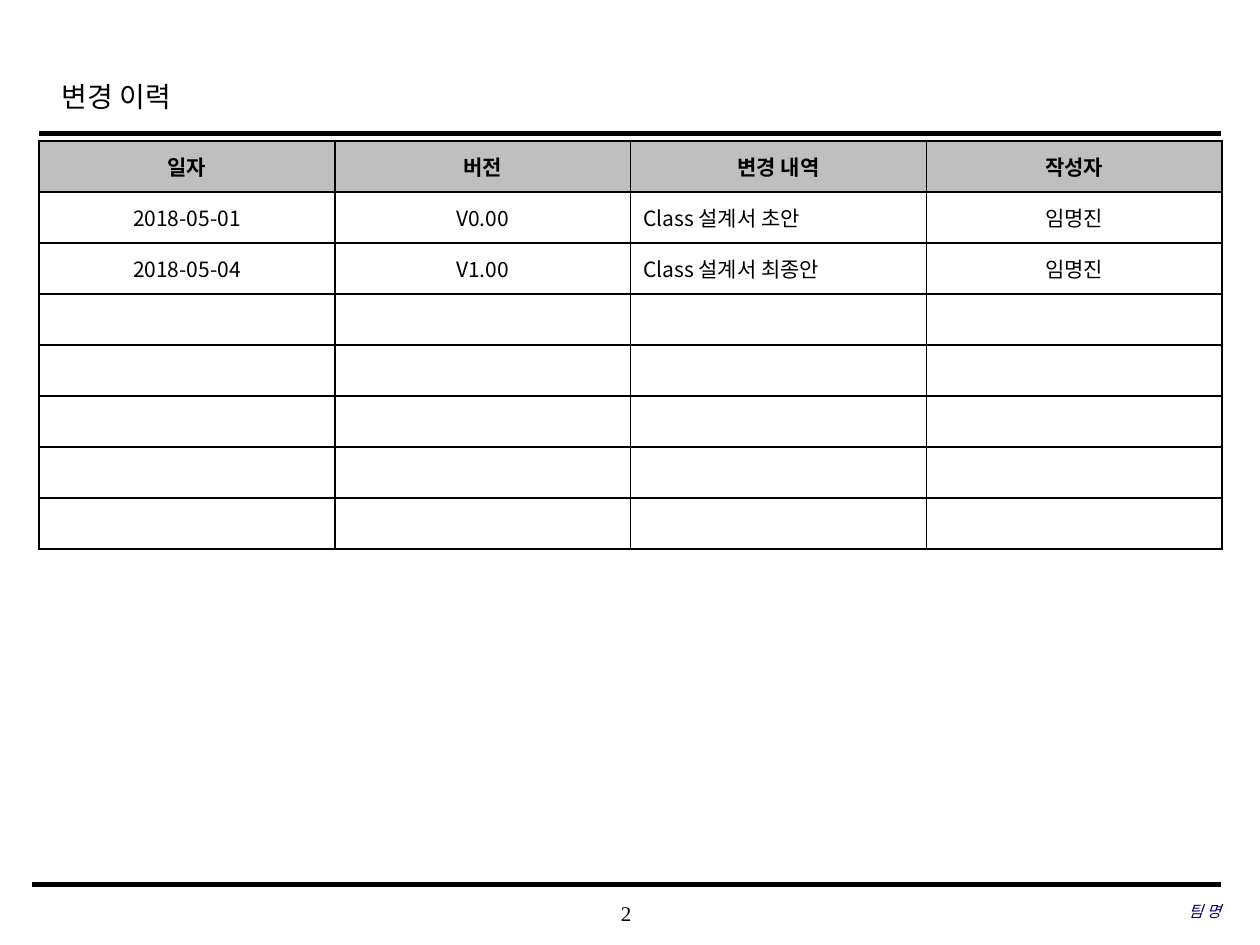
from lxml import etree
from pptx import Presentation
from pptx.dml.color import RGBColor
from pptx.enum.shapes import MSO_CONNECTOR
from pptx.enum.text import MSO_ANCHOR, PP_ALIGN
from pptx.oxml.ns import qn
from pptx.util import Inches, Pt

LEFT, CENTER, RIGHT = PP_ALIGN.LEFT, PP_ALIGN.CENTER, PP_ALIGN.RIGHT
MIDDLE = MSO_ANCHOR.MIDDLE
STRAIGHT = MSO_CONNECTOR.STRAIGHT
COLORS = {"ink": "000000", "header": "BFBFBF", "paper": "FFFFFF", "team": "000066"}
SERIF, HANGUL = "Times New Roman", "Noto Sans CJK KR"
TABLE_LEFT, TABLE_TOP, TABLE_WIDTH = 0.31, 1.12, 9.39
ROW_HEIGHT, ROW_COUNT = 0.405, 8
CELL_SIZE = 12
HISTORY = [
    ("일자", "버전", "변경 내역", "작성자"),
    ("2018-05-01", "V0.00", "Class 설계서 초안", "임명진"),
    ("2018-05-04", "V1.00", "Class 설계서 최종안", "임명진"),
]


def rgb(name):
    return RGBColor.from_string(COLORS[name])


def write(tf, text, align, color="ink", **formats):
    p = tf.paragraphs[0]
    p.alignment = align
    r = p.add_run()
    r.text = text
    for key, value in formats.items():
        setattr(r.font, key, value)
    r.font.color.rgb = rgb(color)
    etree.SubElement(r.font._element, qn("a:ea"), typeface=HANGUL)
    return p


def add_title(slide, text):
    sp = slide.shapes.title
    sp.left, sp.top, sp.width, sp.height = map(Inches, (0.39, 0.49, 7.55, 0.5))
    sp.text_frame.vertical_anchor = MIDDLE
    p = write(sp.text_frame, text, LEFT, size=Pt(16), name=SERIF)
    p.line_spacing = 1.2


def add_label(slide, box, text, align, color="ink", **formats):
    tf = slide.shapes.add_textbox(*map(Inches, box)).text_frame
    margins = dict.fromkeys(
        ("margin_left", "margin_top", "margin_right", "margin_bottom"), 0)
    for key, value in {**margins, "word_wrap": True, "vertical_anchor": MIDDLE}.items():
        setattr(tf, key, value)
    write(tf, text, align, color, name=SERIF, **formats)


def add_rule(slide, left, right, y, weight):
    line = slide.shapes.add_connector(STRAIGHT, *map(Inches, (left, y, right, y)))
    line.line.color.rgb = rgb("ink")
    line.line.width = Pt(weight)
    etree.SubElement(line._element.spPr, qn("a:effectLst"))


def add_borders(cell):
    props = cell._tc.get_or_add_tcPr()
    for i, side in enumerate(("lnL", "lnR", "lnT", "lnB")):
        ln = etree.Element(qn(f"a:{side}"), w=str(Pt(1)))
        fill = etree.SubElement(ln, qn("a:solidFill"))
        etree.SubElement(fill, qn("a:srgbClr"), val=COLORS["ink"])
        props.insert(i, ln)


def add_history(slide):
    columns = len(HISTORY[0])
    box = (TABLE_LEFT, TABLE_TOP, TABLE_WIDTH, ROW_HEIGHT * ROW_COUNT)
    table = slide.shapes.add_table(ROW_COUNT, columns, *map(Inches, box)).table
    for column in table.columns:
        column.width = Inches(TABLE_WIDTH / columns)
    for i, row in enumerate(table.rows):
        row.height = Inches(ROW_HEIGHT)
        header = i == 0
        for j, cell in enumerate(row.cells):
            cell.vertical_anchor = MIDDLE
            cell.fill.solid()
            cell.fill.fore_color.rgb = rgb("header" if header else "paper")
            add_borders(cell)
            if i < len(HISTORY):
                align = LEFT if j == 2 and not header else CENTER
                write(cell.text_frame, HISTORY[i][j], align,
                      size=Pt(CELL_SIZE), name=HANGUL, bold=header)
            else:
                p = cell.text_frame.paragraphs[0]
                etree.SubElement(p._p, qn("a:endParaRPr"), sz=str(CELL_SIZE * 100))


def main():
    prs = Presentation()
    prs.slide_width, prs.slide_height = Inches(10), Inches(7.5)
    slide = prs.slides.add_slide(prs.slide_layouts[5])
    add_label(slide, (3.93, 7.08, 2.08, 0.33), "2", CENTER, size=Pt(12))
    add_rule(slide, 0.31, 9.69, 1.06, 2.5)
    add_rule(slide, 0.25, 9.69, 7.02, 3)
    add_title(slide, "변경 이력")
    add_label(slide, (6.63, 7.07, 3.06, 0.33), "팀 명", RIGHT, "team",
              size=Pt(9), italic=True)
    add_history(slide)
    prs.save("out.pptx")


main()
